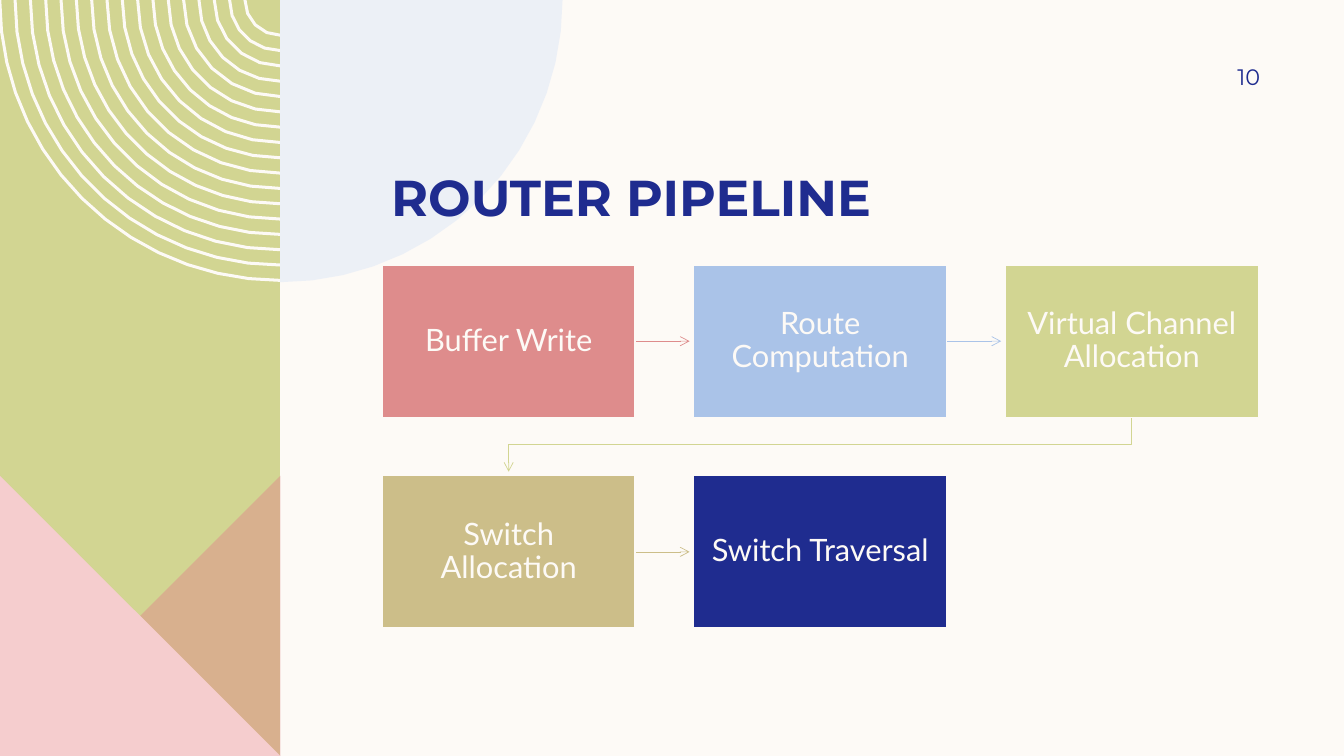
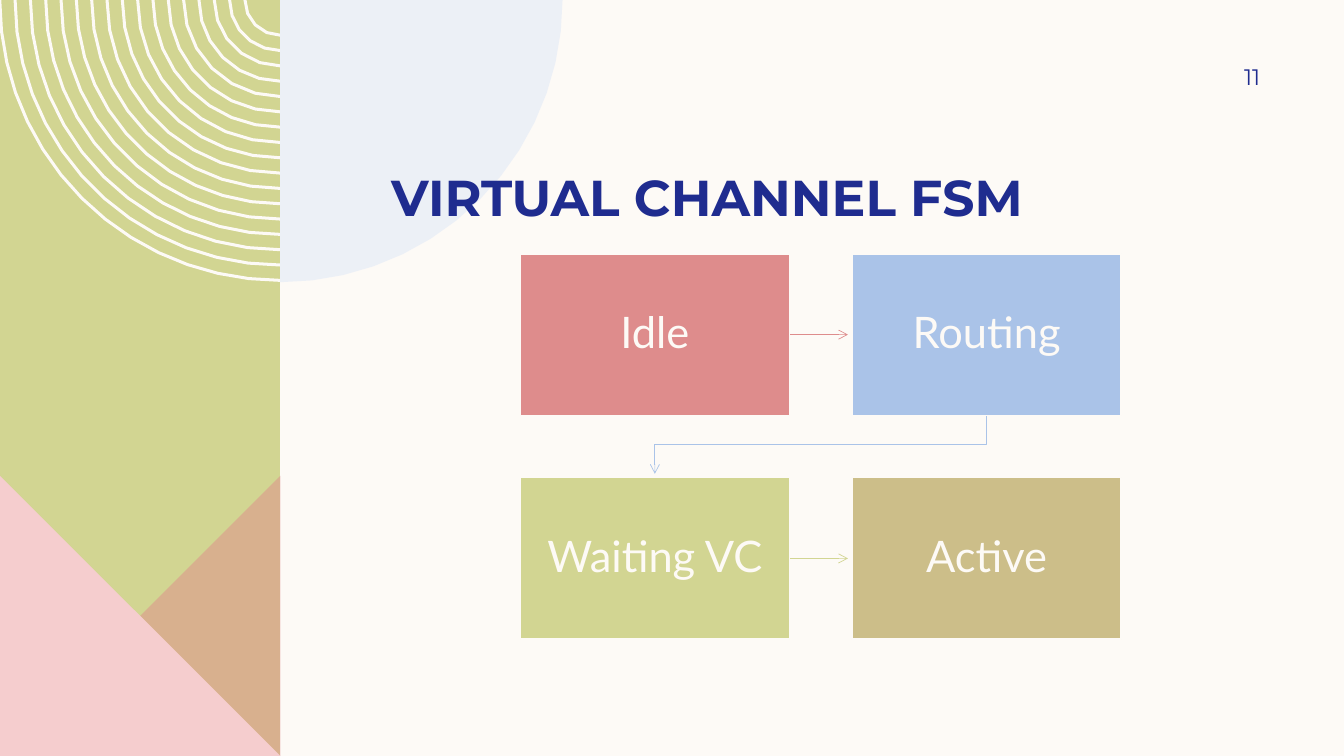
import dataclasses
import math

import lxml.etree
import pptx
import pptx.dml.color
import pptx.enum.shapes
import pptx.enum.text
import pptx.oxml.ns
import pptx.presentation
import pptx.shapes.autoshape
import pptx.shapes.connector
import pptx.slide
import pptx.text.text
import pptx.util

Inches = pptx.util.Inches
Point = tuple[float, float]

COLORS = {
    "cream": "FDFAF6",
    "navy": "1F2C8F",
    "coral": "DE8C8C",
    "sky": "AAC3E8",
    "lime": "D2D592",
    "sand": "CCBE89",
    "pink": "F5CDCE",
    "mist": "DDE7F6",
}
STEP_COLORS = ("coral", "sky", "lime", "sand", "navy")
PANEL_RIGHT = 2.78
RING_COUNT = 17
RING_GAP = 0.15
RING_WIDTH = 0.03
ARROW_CLEARANCE = 0.04


@dataclasses.dataclass(frozen=True)
class Flow:
    title: str
    number: int
    steps: tuple[str, ...]
    columns: int
    left: float
    top: float
    width: float
    height: float
    gap: float
    inset: float
    size: float

    def corner(self, index: int) -> Point:
        row, column = divmod(index, self.columns)
        return (
            self.left + column * (self.width + self.gap),
            self.top + row * (self.height + self.gap),
        )


FLOWS = (
    Flow(
        "ROUTER PIPELINE", 10,
        ("Buffer Write", "Route Computation", "Virtual Channel Allocation",
         "Switch Allocation", "Switch Traversal"),
        columns=3, left=3.79, top=2.63, width=2.51, height=1.51,
        gap=0.58, inset=0.17, size=22,
    ),
    Flow(
        "VIRTUAL CHANNEL FSM", 11,
        ("Idle", "Routing", "Waiting VC", "Active"),
        columns=2, left=5.16, top=2.52, width=2.67, height=1.6,
        gap=0.62, inset=0.24, size=31,
    ),
)


def rgb(name: str) -> pptx.dml.color.RGBColor:
    return pptx.dml.color.RGBColor.from_string(COLORS[name])


def write_text(
    frame: pptx.text.text.TextFrame,
    text: str,
    *,
    font: str,
    size: float,
    color: str,
    bold: bool = False,
    align: pptx.enum.text.PP_ALIGN = pptx.enum.text.PP_ALIGN.LEFT,
    anchor: pptx.enum.text.MSO_ANCHOR = pptx.enum.text.MSO_ANCHOR.MIDDLE,
    insets: tuple[float, float, float, float] = (0.1, 0.05, 0.1, 0.05),
    spacing: float = 1.0,
) -> None:
    frame.word_wrap = True
    frame.auto_size = pptx.enum.text.MSO_AUTO_SIZE.NONE
    frame.vertical_anchor = anchor
    frame.margin_left, frame.margin_top, frame.margin_right, frame.margin_bottom = map(
        Inches, insets
    )
    para = frame.paragraphs[0]
    para.alignment = align
    para.line_spacing = spacing
    span = para.add_run()
    span.text = text
    span.font.name = font
    span.font.size = pptx.util.Pt(size)
    span.font.bold = bold
    span.font.color.rgb = rgb(color)


def quarter_arc(radius: float) -> list[Point]:
    steps = math.ceil(4 * radius) + 2
    angles = [math.pi / 2 * step / steps for step in range(steps + 1)]
    return [(radius * math.cos(angle), radius * math.sin(angle)) for angle in angles]


def add_freeform(
    page: pptx.slide.Slide, contours: list[list[Point]], closed: bool
) -> pptx.shapes.autoshape.Shape:
    paths = [[(Inches(x), Inches(y)) for x, y in contour] for contour in contours]
    builder = page.shapes.build_freeform(*paths[0][0])
    for index, path in enumerate(paths):
        if index:
            builder.move_to(*path[0])
        builder.add_line_segments(path[1:], close=closed)
    shape = builder.convert_to_shape()
    shape.shadow.inherit = False
    return shape


def add_area(
    page: pptx.slide.Slide, outline: list[Point], color: str, opacity: int = 100
) -> pptx.shapes.autoshape.Shape:
    area = add_freeform(page, [outline], closed=True)
    area.fill.solid()
    area.fill.fore_color.rgb = rgb(color)
    area.line.fill.background()
    if opacity < 100:
        fill = area.element.find(".//" + pptx.oxml.ns.qn("a:srgbClr"))
        alpha = lxml.etree.SubElement(fill, pptx.oxml.ns.qn("a:alpha"))
        alpha.set("val", str(opacity * 1000))
    return area


def add_rings(page: pptx.slide.Slide) -> pptx.shapes.autoshape.Shape:
    radii = [0.35 + index * (RING_GAP + 0.002) for index in range(RING_COUNT)]
    arcs = [[(PANEL_RIGHT - x, y) for x, y in quarter_arc(radius)] for radius in radii]
    rings = add_freeform(page, arcs, closed=False)
    rings.fill.background()
    rings.line.color.rgb = rgb("cream")
    rings.line.width = Inches(RING_WIDTH)
    return rings


def decorate_layout(layout: pptx.slide.SlideLayout, page: pptx.slide.Slide) -> None:
    layout.background.fill.solid()
    layout.background.fill.fore_color.rgb = rgb("cream")
    right, middle, bottom = PANEL_RIGHT, 4.72, 7.5
    disc = [(right, 0)] + [(right + x, y) for x, y in quarter_arc(2.8)]
    decorations = (
        add_area(page, [(0, 0), (right, 0), (right, bottom), (0, bottom)], "lime"),
        add_rings(page),
        add_area(page, [(right, middle), (right, bottom), (0, bottom)], "coral", 50),
        add_area(page, [(right, bottom), (0, bottom), (0, middle)], "pink"),
        add_area(page, disc, "mist", 50),
    )
    for decoration in decorations:
        layout.shapes.element.append(decoration.element)


def add_heading(page: pptx.slide.Slide, flow: Flow) -> None:
    title = page.shapes.title
    title.left, title.top = Inches(3.78), Inches(1.16)
    title.width, title.height = Inches(8.71), Inches(1.09)
    write_text(
        title.text_frame, flow.title, font="Montserrat", size=36, color="navy", bold=True,
        anchor=pptx.enum.text.MSO_ANCHOR.BOTTOM, insets=(0.1, 0, 0.1, 0),
    )
    box = page.shapes.add_textbox(Inches(11.33), Inches(0.5), Inches(1.17), Inches(0.52))
    write_text(
        box.text_frame, str(flow.number), font="Montserrat", size=16, color="navy",
        align=pptx.enum.text.PP_ALIGN.RIGHT, insets=(0.1, 0.05, 0, 0.05),
    )


def style_arrow(arrow: pptx.shapes.connector.Connector, color: str) -> None:
    arrow.line.color.rgb = rgb(color)
    arrow.line.width = pptx.util.Pt(0.5)
    line = arrow.element.find(".//" + pptx.oxml.ns.qn("a:ln"))
    lxml.etree.SubElement(line, pptx.oxml.ns.qn("a:tailEnd")).set("type", "arrow")
    lxml.etree.SubElement(arrow.element.spPr, pptx.oxml.ns.qn("a:effectLst"))


def add_arrow(page: pptx.slide.Slide, flow: Flow, index: int) -> None:
    left, top = flow.corner(index)
    next_left, next_top = flow.corner(index + 1)
    kinds = pptx.enum.shapes.MSO_CONNECTOR
    if next_top == top:
        middle = Inches(top + flow.height / 2)
        arrow = page.shapes.add_connector(
            kinds.STRAIGHT, Inches(left + flow.width), middle,
            Inches(next_left - ARROW_CLEARANCE), middle,
        )
    else:
        drop, reach = flow.gap - ARROW_CLEARANCE, left - next_left
        center_x = (left + next_left + flow.width) / 2
        center_y = top + flow.height + drop / 2
        arrow = page.shapes.add_connector(
            kinds.ELBOW,
            Inches(center_x - drop / 2), Inches(center_y - reach / 2),
            Inches(center_x + drop / 2), Inches(center_y + reach / 2),
        )
        arrow.rotation = 90
    style_arrow(arrow, STEP_COLORS[index])


def add_step(page: pptx.slide.Slide, flow: Flow, index: int) -> None:
    left, top = flow.corner(index)
    box = page.shapes.add_shape(
        pptx.enum.shapes.MSO_SHAPE.RECTANGLE,
        Inches(left), Inches(top), Inches(flow.width), Inches(flow.height),
    )
    box.shadow.inherit = False
    box.fill.solid()
    box.fill.fore_color.rgb = rgb(STEP_COLORS[index])
    box.line.color.rgb = rgb("cream")
    box.line.width = pptx.util.Pt(1)
    write_text(
        box.text_frame, flow.steps[index], font="Lato", size=flow.size, color="cream",
        align=pptx.enum.text.PP_ALIGN.CENTER, insets=(flow.inset,) * 4, spacing=0.9,
    )


def add_flow(page: pptx.slide.Slide, flow: Flow) -> None:
    add_heading(page, flow)
    for index in range(len(flow.steps)):
        if index + 1 < len(flow.steps):
            add_arrow(page, flow, index)
        add_step(page, flow, index)


def main() -> None:
    deck = pptx.Presentation()
    deck.slide_width, deck.slide_height = Inches(13.33), Inches(7.5)
    layout = deck.slide_layouts[5]
    pages = [deck.slides.add_slide(layout) for _ in FLOWS]
    decorate_layout(layout, pages[0])
    for page, flow in zip(pages, FLOWS):
        add_flow(page, flow)
    deck.save("out.pptx")


if __name__ == "__main__":
    main()
